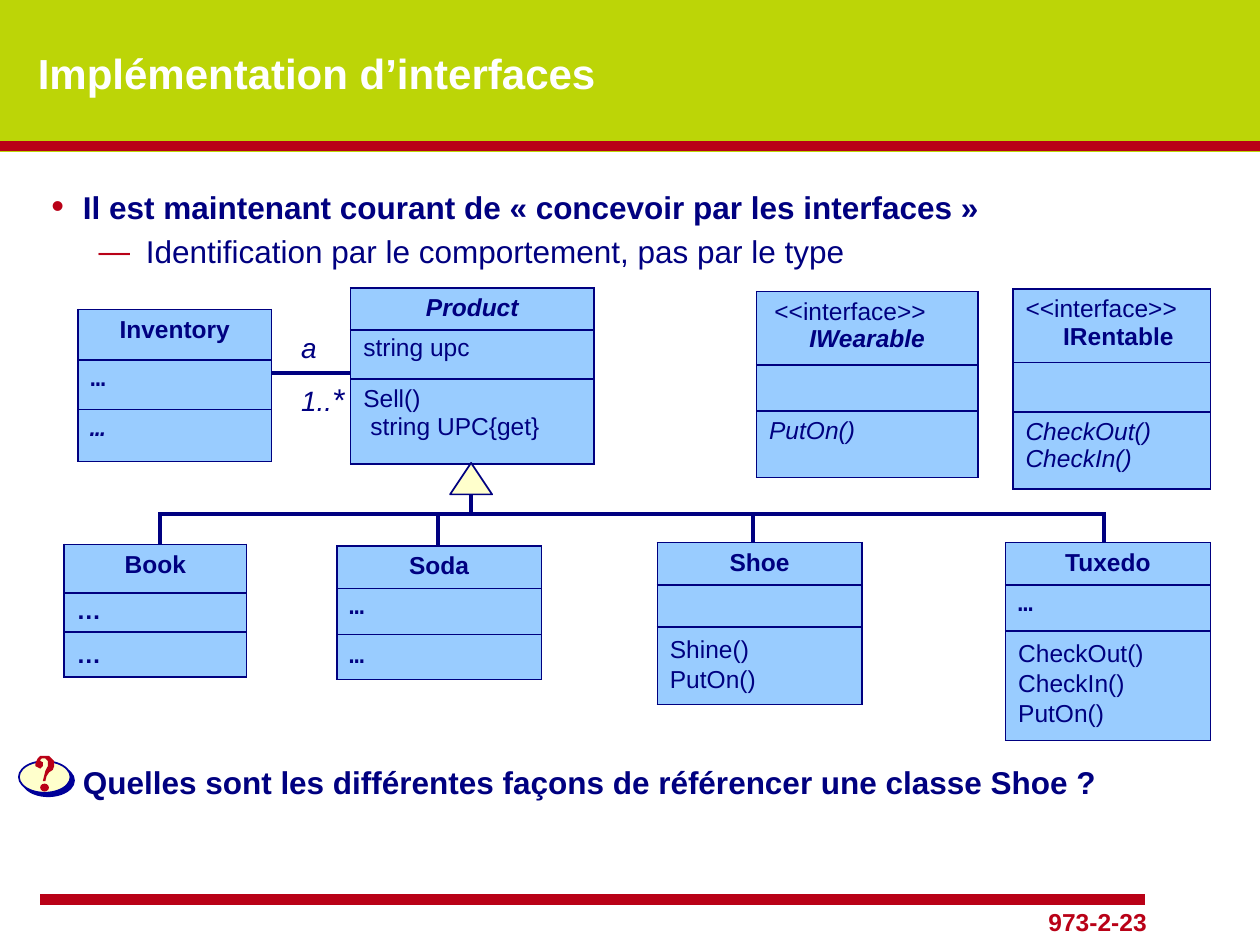
from lxml import etree
from pptx import Presentation
from pptx import util as u
from pptx.dml.color import RGBColor
from pptx.enum import shapes, text
from pptx.oxml import ns

HUES = {"lime": "BCD507", "red": "B90117", "navy": "000080", "sky": "99CCFF",
        "cream": "FFFFCC", "deep": "000099", "white": "FFFFFF", "black": "000000"}
KIND = shapes.MSO_SHAPE
BOLD = {"bold": True}
SLANT = {"italic": True}
MONO = {"bold": True, "name": "Courier New"}


def hue(name):
    return RGBColor.from_string(HUES[name])


def sub(node, tag, **attrs):
    child = etree.SubElement(node, ns.qn(tag))
    for key, val in attrs.items():
        child.set(key, str(val))
    return child


def tint(node, name):
    sub(sub(node, "a:solidFill"), "a:srgbClr", val=HUES[name])


def shade(node, name, dist):
    cast = sub(sub(node, "a:effectLst"), "a:outerShdw", blurRad=0,
               dist=u.Pt(dist), dir=45 * 60000, algn="tl", rotWithShape=0)
    sub(cast, "a:srgbClr", val=HUES[name])


class Page:
    """Holds the text style and the current slide."""
    base = {"name": "Arial", "size": u.Pt(14), "bold": False, "italic": False}

    def __init__(self, slide):
        self.slide = slide
        self.items = slide.shapes

    def run(self, para, words, ink="navy", **fmt):
        run = para.add_run()
        run.text = words
        for key, val in {**self.base, **fmt}.items():
            setattr(run.font, key, val)
        run.font.color.rgb = hue(ink)
        return run

    def para(self, frame, first, left=0, hang=0, mark=None, **fmt):
        para = frame.paragraphs[0] if first else frame.add_paragraph()
        if left:
            props = para._p.get_or_add_pPr()
            props.set("marL", str(u.Pt(left)))
            props.set("indent", str(-u.Pt(hang)))
            if mark:
                sub(sub(props, "a:buClr"), "a:srgbClr", val=HUES["red"])
                sub(props, "a:buSzPct", val=115000 if mark == "•" else 100000)
                sub(props, "a:buFont", typeface="Arial")
                sub(props, "a:buChar", char=mark)
        for key, val in fmt.items():
            setattr(para, key, val)
        return para

    def title(self, words, *box):
        shape = self.items.title
        shape.left, shape.top, shape.width, shape.height = map(u.Pt, box)
        frame = shape.text_frame
        frame.vertical_anchor = text.MSO_ANCHOR.MIDDLE
        para = self.para(frame, True, alignment=text.PP_ALIGN.LEFT)
        run = self.run(para, words, "white", size=u.Pt(24), bold=True)
        props = run._r.get_or_add_rPr()
        shade(props, "black", 2.8)
        props.find(ns.qn("a:solidFill")).addnext(props[-1])

    def box(self, *box, pad=None):
        frame = self.items.add_textbox(*map(u.Pt, box)).text_frame
        frame.word_wrap = True
        if pad is not None:
            frame.margin_left = frame.margin_right = u.Pt(pad)
            frame.margin_top = frame.margin_bottom = u.Pt(pad)
        return frame

    def paint(self, shape, fill, line=None):
        shape.shadow.inherit = False
        shape.fill.solid()
        shape.fill.fore_color.rgb = hue(fill)
        if line:
            shape.line.color.rgb = hue(line)
            shape.line.width = u.Pt(1)
        else:
            shape.line.fill.background()
        return shape

    def shape(self, kind, box, fill, line=None):
        return self.paint(self.items.add_shape(kind, *map(u.Pt, box)), fill, line)

    def line(self, *ends, ink="navy", width=2.25):
        link = self.items.add_connector(shapes.MSO_CONNECTOR.STRAIGHT, *map(u.Pt, ends))
        link.line.color.rgb = hue(ink)
        link.line.width = u.Pt(width)
        sub(link._element.spPr, "a:effectLst")

    def cell(self, cell, lines, fmt, gap, align):
        props = cell._tc.get_or_add_tcPr()
        for side in "LRTB":
            tint(sub(props, "a:ln" + side, w=u.Pt(1)), "navy")
        cell.fill.solid()
        cell.fill.fore_color.rgb = hue("sky")
        for i, (words, left) in enumerate(lines):
            para = self.para(cell.text_frame, i == 0, left,
                             line_spacing=gap, alignment=align)
            self.run(para, words, **fmt[i])
        if not lines:
            cell.text_frame.paragraphs[0].font.size = self.base["size"]

    def table(self, left, top, width, rows):
        high = sum(row[0] for row in rows)
        grid = self.items.add_table(len(rows), 1, *map(u.Pt, (left, top, width, high))).table
        grid.columns[0].width = u.Pt(width)
        for i, (tall, lines, fmt, gap, align) in enumerate(rows):
            grid.rows[i].height = u.Pt(tall)
            self.cell(grid.cell(i, 0), lines, fmt, gap, align)

    def free(self, points, fill):
        pen = self.items.build_freeform(*points[0], scale=u.Pt(0.72))
        pen.add_line_segments(points[1:], close=True)
        self.paint(pen.convert_to_shape(), fill)


def head(tall, name, **fmt):
    return tall, [(name, 0)], [{**BOLD, **fmt}], 1.0, text.PP_ALIGN.CENTER


def face(tall, name, near, far, **fmt):
    return (tall, [("<<interface>>", near), (name, far)], [{}, {**BOLD, **fmt}],
            1.0, text.PP_ALIGN.LEFT)


def part(tall, *lines, fmt={}, gap=1.0):
    pairs = [x if isinstance(x, tuple) else (x, 0) for x in lines]
    return tall, pairs, [fmt] * len(pairs), gap, text.PP_ALIGN.LEFT


# Class boxes: left, top, width, rows
TOPS = [
    (200.4, 164.6, 139, [head(23.4, "Product", italic=True), part(28, "string upc", gap=0.9),
                         part(48.6, "Sell()", ("string UPC{get}", 4))]),
    (44.6, 176.9, 110.6, [head(28.9, "Inventory"), part(28.3, "…", fmt=MONO, gap=0.9),
                          part(29.7, "…", fmt={**MONO, **SLANT})]),
    (432.3, 166.6, 126.7, [face(42, "IWearable", 3, 23, italic=True), part(26.3),
                           part(38, "PutOn()", fmt=SLANT)]),
    (578.8, 165.1, 113, [face(42, "IRentable", 0, 21.5), part(28.3),
                         part(44, "CheckOut()", "CheckIn()", fmt=SLANT)]),
]
# Subclasses: branch position, then the box
KIDS = [
    (91.4, (36.6, 311.1, 104.4, [head(27.7, "Book"), part(21.6, "…", fmt=BOLD, gap=0.9),
                                 part(24.6, "…", fmt=BOLD, gap=1.1)])),
    (250.4, (192.5, 312, 116.8, [head(24.3, "Soda"), part(26.3, "…", fmt=MONO, gap=0.9),
                                 part(25.7, "…", fmt=MONO, gap=1.1)])),
    (430.5, (375.6, 310, 117, [head(24.3, "Shoe"), part(24),
                               part(44, "Shine()", "PutOn()", gap=1.1)])),
    (631, (574.6, 310, 117, [head(24.3, "Tuxedo"), part(26.3, "…", fmt=MONO, gap=0.9),
                             part(62.6, "CheckOut()", "CheckIn()", "PutOn()", gap=1.1)])),
]
# Question mark outline, in hundredths of an inch
HOOK = [(36, 620), (34, 620), (35, 616), (36, 612), (38, 608), (38, 604), (37, 603),
        (36, 602), (33, 602), (32, 603), (32, 604), (34, 605), (34, 608), (32, 610),
        (30, 609), (28, 608), (28, 606), (29, 604), (30, 602), (32, 600), (39, 600),
        (41, 602), (43, 604), (43, 608), (42, 611), (39, 613), (37, 616)]


def main():
    deck = Presentation()
    deck.slide_width, deck.slide_height = u.Pt(720), u.Pt(540)
    slide = deck.slides.add_slide(deck.slide_layouts[5])
    page = Page(slide)

    # Background, rules, page number
    slide.background.fill.solid()
    slide.background.fill.fore_color.rgb = hue("lime")
    page.shape(KIND.RECTANGLE, (0, 87, 720, 453), "white")
    page.line(0, 83.5, 720, 83.5, ink="red", width=6)
    page.line(23, 514, 654.5, 514, ink="red", width=6)
    foot = page.box(548.6, 515, 113.8, 24)
    page.run(page.para(foot, True, alignment=text.PP_ALIGN.RIGHT), "973-2-23", "red", bold=True)

    # Title and bullets
    page.title("Implémentation d’interfaces", 14.4, 13, 613.4, 57)
    body = page.box(22.3, 103.7, 676.8, 56)
    big = u.Pt(18)
    para = page.para(body, True, 18, 18, "•", space_after=u.Pt(3))
    page.run(para, "Il est maintenant courant de «\u00a0concevoir par les interfaces\u00a0»",
             size=big, bold=True)
    para = page.para(body, False, 54, 27, "—", space_before=u.Pt(1))
    page.run(para, "Identification par le comportement, pas par le type", size=big)

    # Association with its labels
    page.line(155.2, 213, 200.4, 213)
    note = page.box(172, 189, 34, 52, pad=0)
    page.run(page.para(note, True), "a", size=u.Pt(16), italic=True)
    para = page.para(note, False, space_before=u.Pt(9))
    page.run(para, "1..", size=u.Pt(16), italic=True)
    page.run(para, "*", size=big, italic=True)

    # Inheritance tree
    bus = 293.7
    for x, kid in KIDS:
        page.line(x, bus, x, kid[1])
    page.line(KIDS[0][0] - 1, bus, KIDS[-1][0] + 1, bus)
    page.line(269.3, 283, 269.3, bus)
    for spot in TOPS + [kid for _, kid in KIDS]:
        page.table(*spot)
    page.shape(KIND.ISOSCELES_TRIANGLE, (257.2, 264.5, 24, 18), "cream", "navy")

    # Question and its badge
    ask = page.box(40.3, 432.4, 650, 29)
    page.run(page.para(ask, True), "Quelles sont les différentes façons de référencer une classe Shoe ?",
             size=big, bold=True)
    disc = page.shape(KIND.OVAL, (10.8, 435, 29.5, 18), "cream", "deep")
    props = disc._element.spPr
    props.remove(props.find(ns.qn("a:effectLst")))
    shade(props, "deep", 2.8)
    page.shape(KIND.OVAL, (21.6, 432.7, 7.2, 7.2), "cream")
    page.shape(KIND.OVAL, (23, 447.8, 5, 4.5), "red")
    page.free(HOOK, "red")

    deck.save("out.pptx")


if __name__ == "__main__":
    main()
